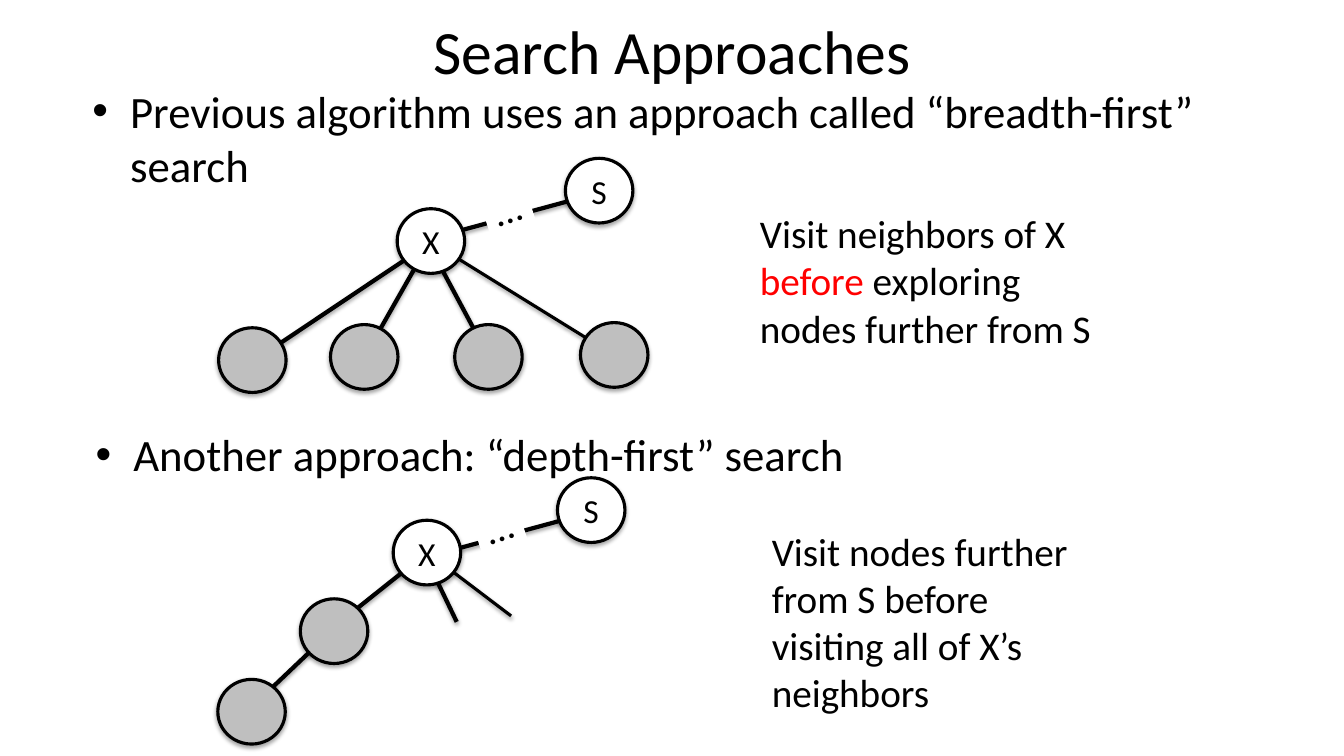
import pptx
import pptx.util
import pptx.dml.color
import pptx.enum.shapes
import pptx.enum.text
import pptx.oxml
import pptx.oxml.ns

Cm = pptx.util.Cm
Pt = pptx.util.Pt
SHAPE = pptx.enum.shapes.MSO_SHAPE
ALIGN = pptx.enum.text.PP_ALIGN
ANCHOR = pptx.enum.text.MSO_ANCHOR
BLACK, WHITE, GREY, RED = "000000", "FFFFFF", "BFBFBF", "FF0000"
SPACE = pptx.oxml.ns.nsdecls("a")


def color(value):
    return pptx.dml.color.RGBColor.from_string(value)


class Deck:
    font = "Calibri"
    width, height = 1.7, 1.63  # node size in cm

    def __init__(self, slide):
        self.shapes = slide.shapes

    def style(self, para, size, tint=BLACK):
        for run in para.runs:
            run.font.name = self.font
            run.font.size = Pt(size)
            run.font.color.rgb = color(tint)

    def shade(self, shape, alpha, dist):
        """Give the shape a soft shadow straight below it."""
        props = shape._element.spPr
        props.append(pptx.oxml.parse_xml(
            f'<a:effectLst {SPACE}><a:outerShdw blurRad="{Pt(3.1)}" dist="{Pt(dist)}" '
            f'dir="5400000" rotWithShape="0"><a:srgbClr val="{BLACK}">'
            f'<a:alpha val="{alpha * 1000}"/></a:srgbClr></a:outerShdw></a:effectLst>'))

    def text(self, box, words, size):
        frame = self.shapes.add_textbox(*map(Cm, box)).text_frame
        frame.word_wrap = True
        frame.text = words
        self.style(frame.paragraphs[0], size)
        return frame

    def title(self, box, words):
        frame = self.text(box, words, 44)
        frame.vertical_anchor = ANCHOR.MIDDLE
        frame.paragraphs[0].alignment = ALIGN.CENTER

    def bullet(self, box, words):
        props = self.text(box, words, 32).paragraphs[0]._p.get_or_add_pPr()
        props.set("marL", str(Cm(0.95)))
        props.set("indent", str(Cm(-0.95)))
        for mark in ('buFont {} typeface="Arial"', 'buChar {} char="•"'):
            props.append(pptx.oxml.parse_xml(f"<a:{mark.format(SPACE)}/>"))

    def note(self, box, words, accent="", rest=""):
        para = self.text(box, words, 28).paragraphs[0]
        if accent:
            for part in (accent, rest):
                para.add_run().text = part
            self.style(para, 28)
            para.runs[1].font.color.rgb = color(RED)

    def edge(self, x1, y1, x2, y2, weight=3):
        line = self.shapes.add_connector(
            pptx.enum.shapes.MSO_CONNECTOR.STRAIGHT, *map(Cm, (x1, y1, x2, y2)))
        line.line.color.rgb = color(BLACK)
        line.line.width = Pt(weight)
        self.shade(line, 38, 1.6)

    def node(self, x, y, label=""):
        disc = self.shapes.add_shape(
            SHAPE.OVAL, *map(Cm, (x, y, self.width, self.height)))
        disc.fill.solid()
        disc.fill.fore_color.rgb = color(WHITE if label else GREY)
        disc.line.color.rgb = color(BLACK)
        disc.line.width = Pt(2.25)
        self.shade(disc, 35, 1.8)
        if label:
            frame = disc.text_frame
            frame.text = label
            frame.vertical_anchor = ANCHOR.MIDDLE
            frame.paragraphs[0].alignment = ALIGN.CENTER
            self.style(frame.paragraphs[0], 24)

    def dots(self, x, y):
        """Cover the middle of an edge with a tilted ellipsis."""
        patch = self.shapes.add_shape(SHAPE.RECTANGLE, *map(Cm, (x, y, 1.2, 1.45)))
        patch.shadow.inherit = False
        patch.fill.solid()
        patch.fill.fore_color.rgb = color(WHITE)
        patch.line.fill.background()
        patch.rotation = 341.8
        frame = patch.text_frame
        frame.word_wrap = False
        frame.vertical_anchor = ANCHOR.TOP
        frame.text = "…"
        frame.paragraphs[0].alignment = ALIGN.LEFT
        self.style(frame.paragraphs[0], 28)

    def graph(self, edges, nodes, gap):
        """Draw edges first, the gap over them, and the nodes on top."""
        for edge in edges:
            self.edge(*edge)
        self.dots(*gap)
        for node in nodes:
            self.node(*node)


def main():
    prs = pptx.Presentation()
    prs.slide_width, prs.slide_height = Cm(33.87), Cm(19.05)
    deck = Deck(prs.slides.add_slide(prs.slide_layouts[6]))

    deck.title((5.51, -0.33, 22.86, 3.18), "Search Approaches")
    deck.bullet((2.08, 1.98, 30.48, 3.07),
                "Previous algorithm uses an approach called “breadth-first” search")
    deck.note((18.9, 5.16, 9.55, 3.84), "Visit neighbors of X ", "before",
              " exploring nodes further from S")
    deck.bullet((2.16, 10.64, 22.86, 2.11), "Another approach: “depth-first” search")
    deck.note((19.2, 13.16, 8.15, 5.05),
              "Visit nodes further from S before visiting all of X’s neighbors")

    deck.graph(
        edges=[(14.58, 5, 11.3, 5.89), (10.77, 6.17, 6.4, 9.09),
               (10.77, 6.2, 9.14, 9.07), (10.85, 6.25, 12.37, 9.09),
               (10.87, 6.1, 15.54, 8.99, 2.25)],
        nodes=[(10.01, 5.26, "X"), (14.25, 3.99, "S"), (5.51, 8.26),
               (8.33, 8.18), (11.46, 8.18), (14.63, 8.13)],
        gap=(12.17, 4.52))
    deck.graph(
        edges=[(14.35, 13.06, 11.1, 13.94), (8.36, 15.9, 6.35, 17.81),
               (10.67, 14, 8.41, 15.8), (10.74, 14.07, 11.51, 15.67),
               (10.77, 13.92, 12.88, 15.52, 2.25)],
        nodes=[(9.91, 13.11, "X"), (14.05, 12.04, "S"), (7.57, 15.09),
               (5.49, 17.12)],
        gap=(11.96, 12.55))

    prs.save("out.pptx")


if __name__ == "__main__":
    main()
